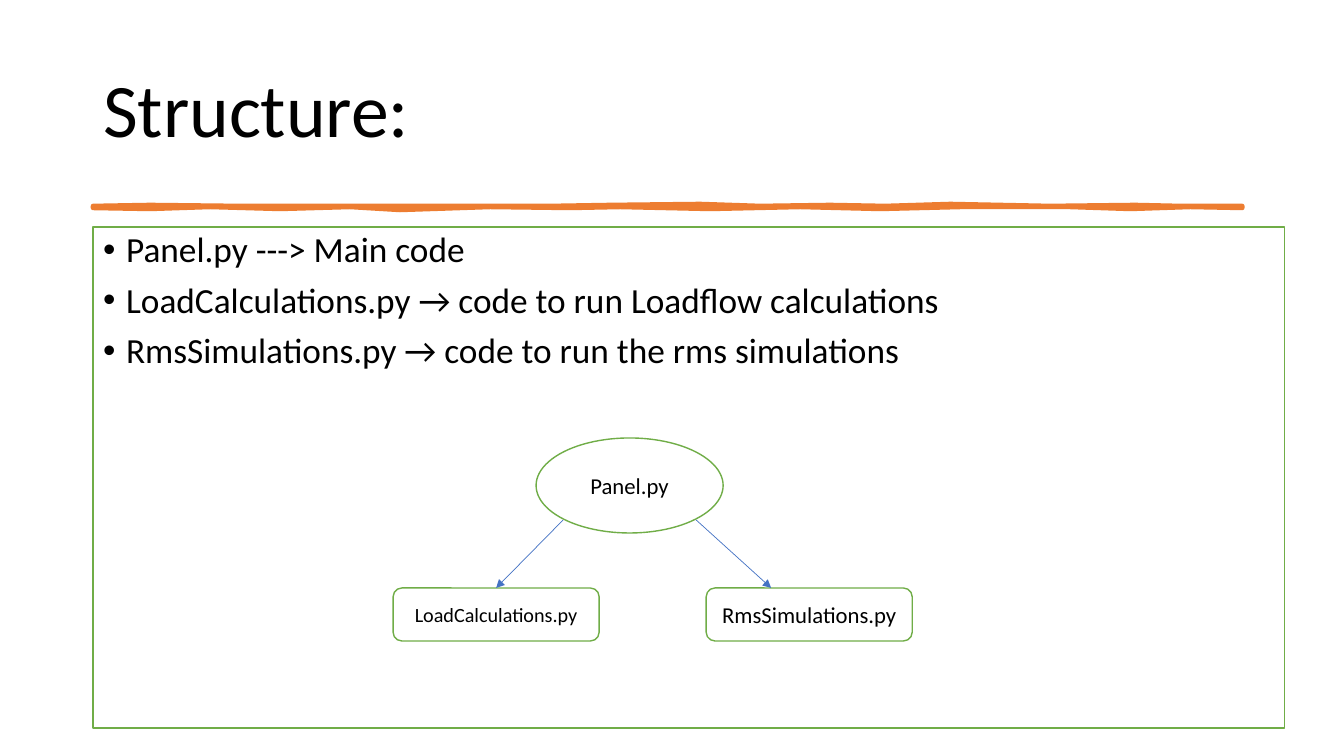
from dataclasses import dataclass

from lxml.etree import SubElement
from pptx import Presentation
from pptx.dml.color import RGBColor
from pptx.enum.shapes import MSO_CONNECTOR as Connector, MSO_SHAPE as Shape
from pptx.enum.text import MSO_ANCHOR as Anchor, MSO_AUTO_SIZE as AutoSize, PP_ALIGN as Align
from pptx.oxml.ns import qn
from pptx.util import Inches, Pt

SCALE = Inches(1) / 100.8


@dataclass(frozen=True)
class Theme:
    """Colours, font and type sizes of the slide."""
    font: str = "Calibri"
    ink: str = "000000"
    paper: str = "FFFFFF"
    outline: str = "70AD47"
    accent: str = "ED7D31"
    arrow: str = "4472C4"
    title: float = 54
    body: float = 25.2
    node: float = 16.2
    node_small: float = 14.4


THEME = Theme()
FILES = [
    "Panel.py ---> Main code",
    "LoadCalculations.py → code to run Loadflow calculations",
    "RmsSimulations.py → code to run the rms simulations",
]
RULE_TOP = [(93, 206), (150, 205), (240, 206), (330, 206), (390, 206), (460, 206),
            (550, 206), (610, 205), (700, 204), (760, 206), (830, 205), (885, 206),
            (950, 204), (1050, 206), (1135, 205), (1180, 206), (1242, 206)]
RULE_BOTTOM = [(1242, 208), (1190, 207), (1130, 209), (1070, 207), (960, 207), (880, 209),
               (800, 207), (710, 209), (620, 207), (570, 208), (490, 207), (400, 210),
               (350, 207), (280, 209), (210, 207), (150, 209), (93, 208)]


def px(length):
    """Turn pixels into EMU."""
    return round(length * SCALE)


def set_all(target, values):
    """Set each named attribute of the target."""
    for name, value in values.items():
        setattr(target, name, value)


def place(item, left, top, width, height):
    """Move and size an item in pixels."""
    set_all(item, {"left": px(left), "top": px(top), "width": px(width), "height": px(height)})


def paint(item, fill, line, weight):
    """Give an item a solid fill and outline."""
    item.fill.solid()
    item.fill.fore_color.rgb = RGBColor.from_string(fill)
    item.line.color.rgb = RGBColor.from_string(line)
    item.line.width = Pt(weight)


def write(item, lines, size, frame_format, paragraph_format):
    """Write one formatted paragraph for each line."""
    frame = item.text_frame
    frame.text = "\n".join(lines)
    set_all(frame, {"word_wrap": True, "auto_size": AutoSize.NONE, **frame_format})
    for paragraph in frame.paragraphs:
        set_all(paragraph, paragraph_format)
        for run in paragraph.runs:
            set_all(run.font, {"name": THEME.font, "size": Pt(size)})
            run.font.color.rgb = RGBColor.from_string(THEME.ink)


def add_title(slide):
    """Fill the title placeholder."""
    title = slide.shapes.title
    place(title, 93, 40, 1159, 146)
    write(title, ["Structure:"], THEME.title, {"vertical_anchor": Anchor.MIDDLE},
          {"alignment": Align.LEFT, "line_spacing": 0.9})


def add_file_list(slide):
    """Fill the body placeholder with the bulleted files."""
    file_list = slide.placeholders[1]
    place(file_list, 93, 227, 1191, 501)
    paint(file_list, THEME.paper, THEME.outline, 1)
    write(file_list, FILES, THEME.body, {"vertical_anchor": Anchor.TOP},
          {"line_spacing": 0.9, "space_before": Pt(9)})
    for paragraph in file_list.text_frame.paragraphs:
        properties = paragraph._p.get_or_add_pPr()
        properties.set("marL", str(px(23)))
        properties.set("indent", str(-px(23)))


def add_rule(slide):
    """Draw the uneven brush rule below the title."""
    start, *rest = RULE_TOP + RULE_BOTTOM
    builder = slide.shapes.build_freeform(*start, scale=SCALE)
    builder.add_line_segments(rest, close=True)
    rule = builder.convert_to_shape()
    rule.shadow.inherit = False
    paint(rule, THEME.accent, THEME.accent, 3.25)
    SubElement(rule.line._get_or_add_ln(), qn("a:round"))


def add_node(slide, kind, box, label, size):
    """Add a labelled node of the file diagram."""
    node = slide.shapes.add_shape(kind, *map(px, box))
    node.shadow.inherit = False
    paint(node, THEME.paper, THEME.outline, 1)
    write(node, [label], size, {"vertical_anchor": Anchor.MIDDLE},
          {"alignment": Align.CENTER, "space_after": Pt(6)})
    return node


def add_arrow(slide, start, end):
    """Add a thin arrow between two points."""
    arrow = slide.shapes.add_connector(Connector.STRAIGHT, *map(px, start + end))
    arrow.line.color.rgb = RGBColor.from_string(THEME.arrow)
    arrow.line.width = Pt(0.5)
    SubElement(arrow.line._get_or_add_ln(), qn("a:tailEnd"), type="triangle")
    SubElement(arrow._element.spPr, qn("a:effectLst"))
    return arrow


def main():
    """Build and save the slide."""
    deck = Presentation()
    set_all(deck, {"slide_width": Inches(13.33), "slide_height": Inches(7.5)})
    slide = deck.slides.add_slide(deck.slide_layouts[1])
    add_title(slide)
    add_file_list(slide)
    add_rule(slide)
    add_node(slide, Shape.OVAL, (536, 438, 187, 95), "Panel.py", THEME.node)
    load = add_node(slide, Shape.ROUNDED_RECTANGLE, (393, 588, 206, 53),
                    "LoadCalculations.py", THEME.node_small)
    add_node(slide, Shape.ROUNDED_RECTANGLE, (706, 588, 206, 53),
             "RmsSimulations.py", THEME.node)
    add_arrow(slide, (696, 520), (771, 588))
    add_arrow(slide, (563, 520), (493, 588)).end_connect(load, 0)
    deck.save("out.pptx")


if __name__ == "__main__":
    main()
